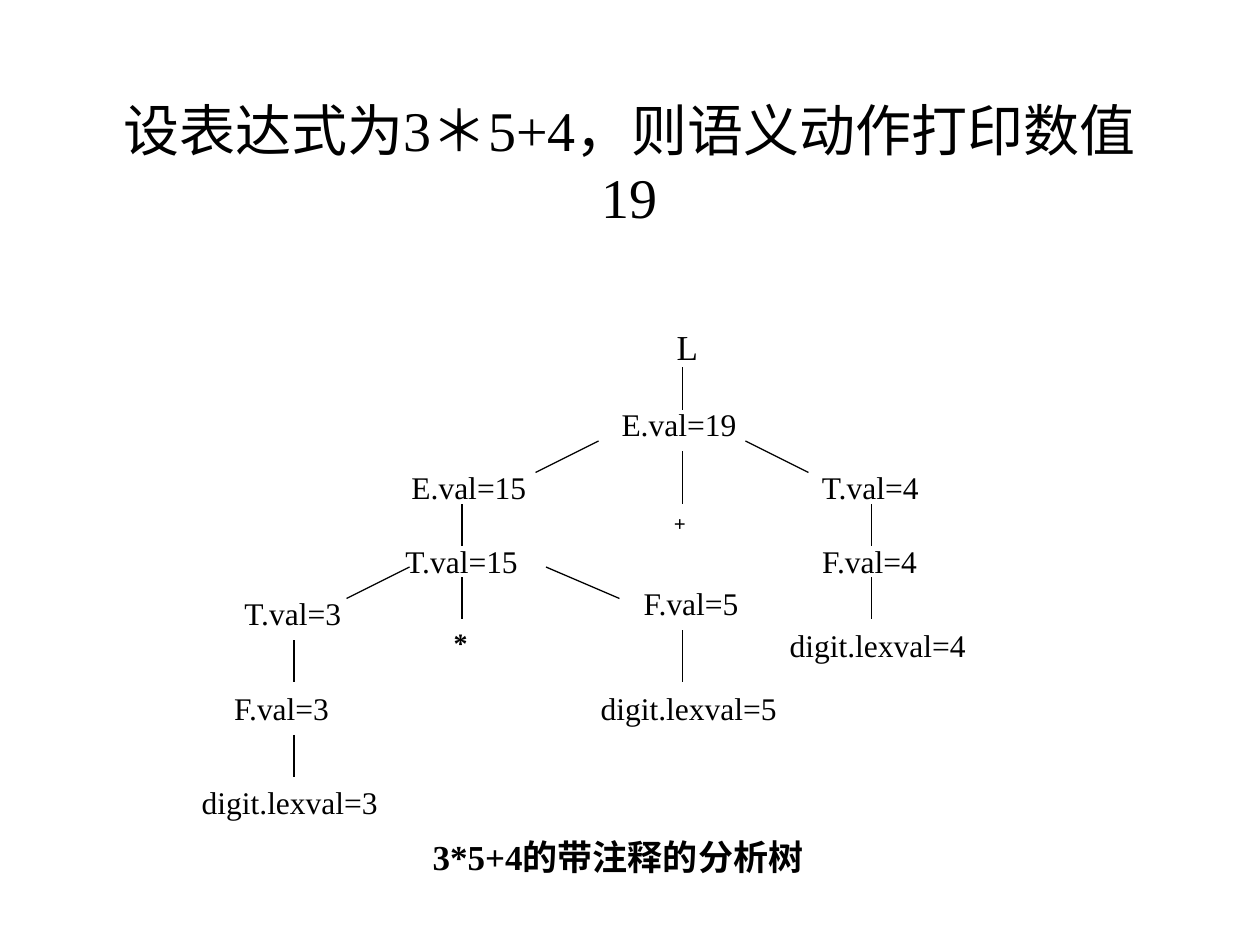
from lxml import etree
from pptx import Presentation
from pptx import util as u
from pptx.dml.color import RGBColor
from pptx.enum import shapes, text
from pptx.oxml import ns

FONT = "Times New Roman"
BLACK = "000000"
UNIT = u.Inches(1) / 12

# label, column, row, width in inches, size, bold
NODES = [
    ("L", 63.25, 30.4, 0.37, 20, False),
    ("E.val=19", 58, 38, 1.11, 18, False),
    ("E.val=15", 38, 44, 1.11, 18, False),
    ("T.val=4", 77, 44, 0.98, 18, False),
    ("T.val=15", 37.3, 51, 1.11, 18, False),
    ("F.val=4", 77, 51, 0.97, 18, False),
    ("T.val=3", 22, 56, 0.98, 18, False),
    ("F.val=3", 21, 65, 0.97, 18, False),
    ("F.val=5", 60, 55, 0.97, 18, False),
    ("digit.lexval=4", 74, 59, 1.6, 18, False),
    ("digit.lexval=5", 56, 65, 1.6, 18, False),
    ("digit.lexval=3", 18, 74, 1.6, 18, False),
    ("+", 63, 48, 0.29, 12, True),
    ("*", 42, 59, 0.31, 16, True),
    ("3*5+4的带注释的分析树", 39.6, 79, 3.21, 20, True),
]

# start column, start row, end column, end row
BRANCHES = [
    (65, 35, 65, 39), (57, 42, 51, 45), (65, 43, 65, 48), (71, 42, 77, 45),
    (44, 48, 44, 52), (83, 48, 83, 52), (83, 55, 83, 59), (44, 55, 44, 59),
    (39, 54, 33, 57), (52, 54, 59, 57), (28, 61, 28, 65), (28, 70, 28, 74),
    (65, 60, 65, 65),
]


def color(value):
    """Turn a hex string into a colour."""
    return RGBColor.from_string(value)


def grid(n):
    """Turn grid units into a length."""
    return u.Emu(round(n * UNIT))


def write(tf, content, size, bold=False):
    """Write one centred line into a text frame."""
    tf.vertical_anchor = text.MSO_ANCHOR.MIDDLE
    p = tf.paragraphs[0]
    p.alignment = text.PP_ALIGN.CENTER
    r = p.add_run()
    r.text = content
    r.font.name, r.font.size, r.font.bold = FONT, u.Pt(size), bold
    r.font.color.rgb = color(BLACK)


def add_title(s, content):
    """Place and fill the title."""
    sp = s.shapes.title
    sp.left, sp.top, sp.width, sp.height = map(grid, (9, 8, 102, 15))
    sp.text_frame.word_wrap = True
    write(sp.text_frame, content, 32)


def add_node(s, label, col, row, width, size, bold):
    """Add a tree label whose height follows its text size."""
    height = u.Inches(0.1) + u.Pt(size * 1.2)
    sp = s.shapes.add_textbox(grid(col), grid(row), u.Inches(width), height)
    tf = sp.text_frame
    tf.word_wrap = False
    tf.auto_size = text.MSO_AUTO_SIZE.SHAPE_TO_FIT_TEXT
    write(tf, label, size, bold)


def add_branch(s, *ends):
    """Add a thin line between two grid points."""
    line = s.shapes.add_connector(shapes.MSO_CONNECTOR.STRAIGHT, *map(grid, ends))
    line.line.color.rgb = color(BLACK)
    line.line.width = u.Pt(0.75)
    etree.SubElement(line._element.spPr, ns.qn("a:effectLst"))


def main():
    """Build the slide with the annotated parse tree."""
    prs = Presentation()
    prs.slide_width, prs.slide_height = u.Inches(10), u.Inches(7.5)
    s = prs.slides.add_slide(prs.slide_layouts[5])
    add_title(s, "设表达式为3＊5+4，则语义动作打印数值19")
    for branch in BRANCHES:
        add_branch(s, *branch)
    for node in NODES:
        add_node(s, *node)
    prs.save("out.pptx")


if __name__ == "__main__":
    main()
